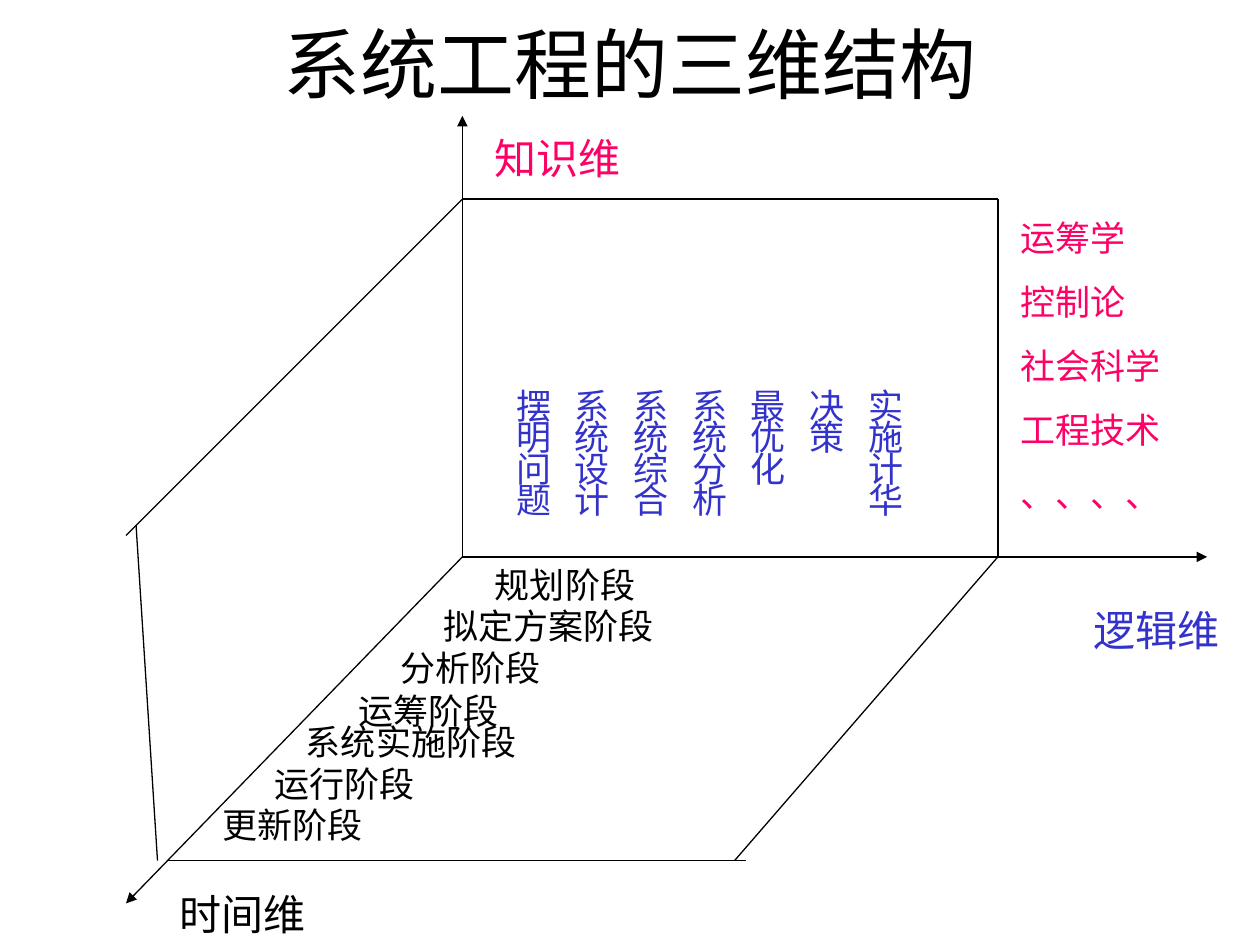
import pptx
import pptx.dml.color
import pptx.enum.shapes
import pptx.enum.text
import pptx.oxml.ns
import pptx.util
from lxml import etree

Inches = pptx.util.Inches
Pt = pptx.util.Pt
qn = pptx.oxml.ns.qn

BLACK = "000000"
BLUE = "3333CC"
PINK = "FF0066"


def colour(value):
    return pptx.dml.color.RGBColor.from_string(value)


class Diagram:
    font_name = "Times New Roman"
    line_width = Pt(0.75)
    column_pitch = Pt(33.5)

    def __init__(self, slide):
        self.slide = slide

    def line(self, start, end, arrow=False):
        connector = self.slide.shapes.add_connector(
            pptx.enum.shapes.MSO_CONNECTOR.STRAIGHT,
            *(Inches(value) for value in start + end))
        connector.line.color.rgb = colour(BLACK)
        connector.line.width = self.line_width
        if arrow:
            outline = connector.line._get_or_add_ln()
            etree.SubElement(outline, qn("a:tailEnd"), type="triangle")
        etree.SubElement(connector._element.spPr, qn("a:effectLst"))

    def text(self, box, lines, size, text_colour=BLACK, title=False):
        shape = self.slide.shapes.add_textbox(*(Inches(value) for value in box))
        frame = shape.text_frame
        frame.word_wrap = True
        if title:
            frame.vertical_anchor = pptx.enum.text.MSO_ANCHOR.MIDDLE
        else:
            frame.auto_size = pptx.enum.text.MSO_AUTO_SIZE.SHAPE_TO_FIT_TEXT
        for index, line in enumerate(lines):
            paragraph = frame.add_paragraph() if index else frame.paragraphs[0]
            if title:
                paragraph.alignment = pptx.enum.text.PP_ALIGN.CENTER
            if index:
                paragraph.space_before = Pt(size * 0.625)
            if "\t" in line:
                self.tab_stops(paragraph, line.count("\t"))
            run = paragraph.add_run()
            run.text = line
            run.font.name = self.font_name
            run.font.size = Pt(size)
            run.font.color.rgb = colour(text_colour)

    def tab_stops(self, paragraph, count):
        properties = paragraph._p.get_or_add_pPr()
        stops = etree.SubElement(properties, qn("a:tabLst"))
        for number in range(1, count + 1):
            etree.SubElement(stops, qn("a:tab"),
                             pos=str(number * self.column_pitch), algn="l")


def main():
    presentation = pptx.Presentation()
    presentation.slide_width = Inches(10)
    presentation.slide_height = Inches(7.5)
    slide = presentation.slides.add_slide(presentation.slide_layouts[6])
    diagram = Diagram(slide)

    diagram.text((0.75, 0, 8.5, 1), ["系统工程的三维结构"], 44, title=True)

    origin, back_top = (3.67, 4.42), (3.67, 1.58)
    right_top, right_bottom = (7.92, 1.58), (7.92, 4.42)
    for axis_end in ((9.58, 4.42), (3.67, 0.92), (1, 7.17)):
        diagram.line(origin, axis_end, arrow=True)
    for start, end in (
        (back_top, (1, 4.25)),
        ((1.08, 4.17), (1.25, 6.83)),
        (back_top, right_top),
        (right_top, right_bottom),
        ((1.33, 6.83), (5.92, 6.83)),
        (right_bottom, (5.83, 6.83)),
    ):
        diagram.line(start, end)

    for name, left, top, width, axis_colour in (
        ("逻辑维", 8.58, 4.75, 1.42, BLUE),
        ("知识维", 3.83, 1, 1.33, PINK),
        ("时间维", 1.33, 7, 1.83, BLACK),
    ):
        diagram.text((left, top, width, 0.5), [name], 24, axis_colour)

    for stage, left, top in (
        ("规划阶段", 3.83, 4.42),
        ("拟定方案阶段", 3.42, 4.75),
        ("分析阶段", 3.08, 5.08),
        ("运筹阶段", 2.75, 5.42),
        ("系统实施阶段", 2.33, 5.67),
        ("运行阶段", 2.08, 6),
        ("更新阶段", 1.67, 6.33),
    ):
        diagram.text((left, top, 2.5, 0.44), [stage], 20)

    steps = ["摆明问题", "系统设计", "系统综合", "系统分析",
             "最优化", "决策", "实施计华"]
    for row in range(4):
        characters = [step[row:row + 1] for step in steps]
        diagram.text((4, 3 + 0.25 * row, 3.5, 0.44),
                     ["\t".join(characters)], 20, BLUE)

    fields = ["运筹学", "控制论", "社会科学", "工程技术", "、、、、"]
    diagram.text((8, 1.67, 1.42, 2.46), fields, 20, PINK)

    presentation.save("out.pptx")


if __name__ == "__main__":
    main()
